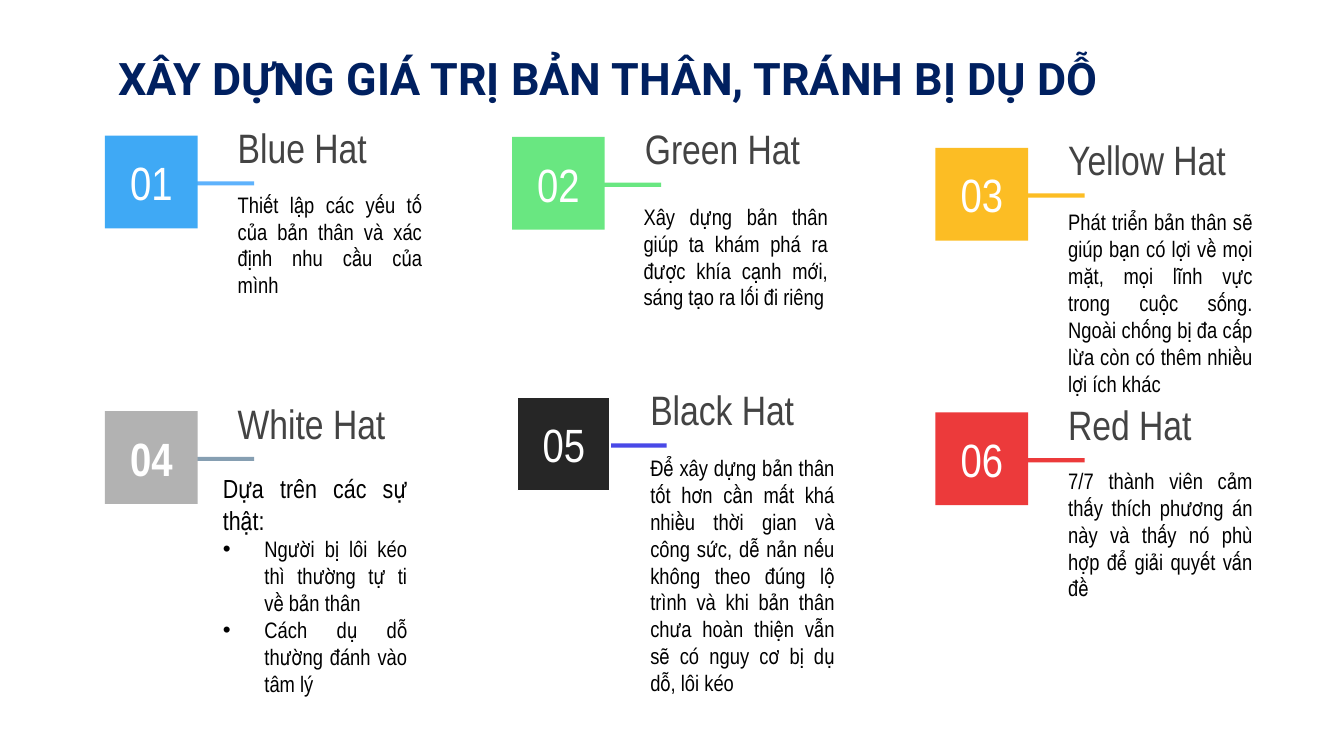
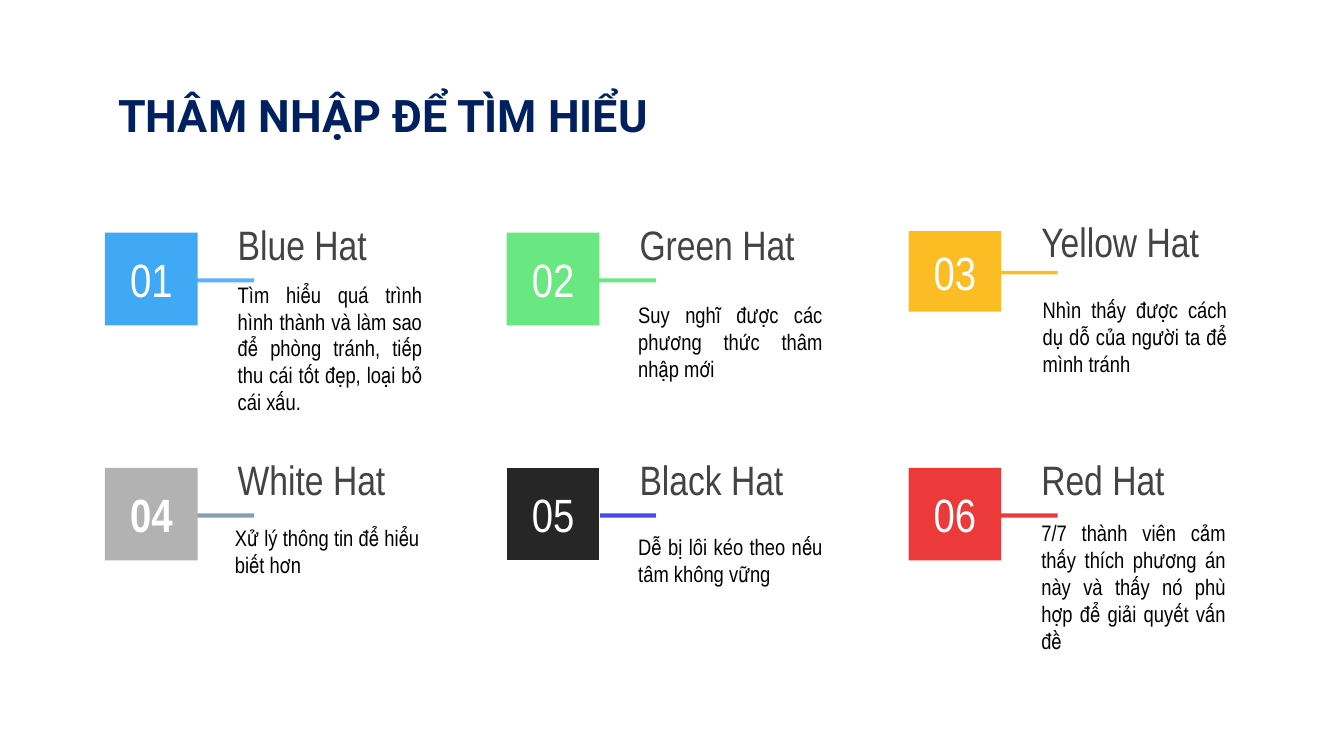
"""Build two slides that sort ideas under six numbered thinking hats."""
import pptx
import pptx.dml.color
import pptx.enum.shapes
import pptx.enum.text
import pptx.oxml.ns
import pptx.util
from lxml import etree

Pt = pptx.util.Pt
ALIGN = pptx.enum.text.PP_ALIGN

COLORS = {
    "title": "002060", "heading": "434343", "body": "000000", "white": "FFFFFF",
    "blue": "3FA9F5", "blue bar": "5EB2FC", "green": "69E781", "yellow": "FCBD24",
    "gray": "B2B2B2", "gray bar": "869FB2", "black": "262626", "black bar": "4949E7",
    "red": "EC3A3B",
}
HATS = [
    {"name": "Blue Hat", "fill": "blue", "bar": "blue bar"},
    {"name": "Green Hat", "fill": "green", "bar": "green"},
    {"name": "Yellow Hat", "fill": "yellow", "bar": "yellow"},
    {"name": "White Hat", "fill": "gray", "bar": "gray bar", "bold": True},
    {"name": "Black Hat", "fill": "black", "bar": "black bar", "line": "white"},
    {"name": "Red Hat", "fill": "red", "bar": "red"},
]
MARGIN = 56.2
SQUARE = 49.7
BODY_OFFSET = 64.1
TEXT_WIDTH = 113
COLUMN_STEP = 215.25
ROW_TOPS = (124.6, 250.6)
BULLET_INDENT = 22.3
SQUASH = 0.87

RED_HAT_TEXT = ("7/7 thành viên cảm thấy thích phương án này và thấy nó phù hợp "
                "để giải quyết vấn đề")

VALUE_CARDS = [
    {"left": MARGIN, "top": 72.7, "body_top": 111.6,
     "body": ["Thiết lập các yếu tố của bản thân và xác định nhu cầu của mình"]},
    {"left": 274.3, "top": 73.4, "body_top": 118.1, "body_offset": 63.4,
     "body": ["Xây dựng bản thân giúp ta khám phá ra được khía cạnh mới, "
              "sáng tạo ra lối đi riêng"]},
    {"left": 501.1, "top": 79.2, "body_top": 142.6,
     "body": ["Phát triển bản thân sẽ giúp bạn có lợi về mọi mặt, mọi lĩnh vực "
              "trong cuộc sống. Ngoài chống bị đa cấp lừa còn có thêm nhiều lợi ích khác"]},
    {"left": MARGIN, "top": 220.3, "body_top": 301, "body_height": 24.5,
     "body_offset": 56.1, "lead": "Dựa trên các sự thật:",
     "body": ["Người bị lôi kéo thì thường tự ti về bản thân",
              "Cách dụ dỗ thường đánh vào tâm lý"]},
    {"left": 277.2, "top": 213.1, "body_top": 288.7,
     "body": ["Để xây dựng bản thân tốt hơn cần mất khá nhiều thời gian và công sức, "
              "dễ nản nếu không theo đúng lộ trình và khi bản thân chưa hoàn thiện "
              "vẫn sẽ có nguy cơ bị dụ dỗ, lôi kéo"]},
    {"left": 501.1, "top": 221, "body_top": 283.7, "body_height": 5,
     "body": [RED_HAT_TEXT]},
]
EXPLORE_CARDS = [
    {"body_top": 169.9, "body_height": 33.1,
     "body": ["Tìm hiểu quá trình hình thành và làm sao để phòng tránh, "
              "tiếp thu cái tốt đẹp, loại bỏ cái xấu."]},
    {"body_top": 163.4, "body_offset": 63.4,
     "body": ["Suy nghĩ được các phương thức thâm nhập mới"]},
    {"top": 123.8, "body_top": 163.4, "body_height": 33.8, "body_offset": 64.8,
     "scale": SQUASH, "body": ["Nhìn thấy được cách dụ dỗ của người ta để mình tránh"]},
    {"body_top": 283, "body_height": 24.5, "body_offset": 62.6,
     "body": ["Xử lý thông tin để hiểu biết hơn"]},
    {"body_top": 280.8, "body_offset": 63.4,
     "body": ["Dễ bị lôi kéo theo nếu tâm không vững"]},
    {"body_top": 312.5, "body_height": 3.6, "body": [RED_HAT_TEXT]},
]


def add_bullet(paragraph):
    properties = paragraph._p.get_or_add_pPr()
    indent = Pt(BULLET_INDENT)
    properties.set("marL", str(indent))
    properties.set("indent", str(-indent))
    qn = pptx.oxml.ns.qn
    color = etree.SubElement(properties, qn("a:buClr"))
    etree.SubElement(color, qn("a:srgbClr"), val=COLORS["body"])
    etree.SubElement(properties, qn("a:buFont"), typeface="Arial")
    etree.SubElement(properties, qn("a:buChar"), char="•")


def write(frame, text, size=12, color="body", font="Arial Narrow", bold=False,
          align=ALIGN.LEFT, bullet=False):
    paragraph = frame.paragraphs[0]
    if paragraph.runs:
        paragraph = frame.add_paragraph()
    paragraph.alignment = align
    if bullet:
        add_bullet(paragraph)
    run = paragraph.add_run()
    run.text = text
    run.font.size = Pt(size)
    run.font.name = font
    run.font.bold = bold
    run.font.color.rgb = pptx.dml.color.RGBColor.from_string(COLORS[color])


class Deck:
    def __init__(self, width, height):
        self.presentation = pptx.Presentation()
        self.presentation.slide_width = Pt(width)
        self.presentation.slide_height = Pt(height)
        self.slide = None

    def add_slide(self, title, top):
        self.slide = self.presentation.slides.add_slide(self.presentation.slide_layouts[6])
        frame = self.text_box(self.slide.shapes, MARGIN, top, 608.4, 38.2)
        write(frame, title, size=24, color="title", font="Roboto", bold=True)

    def prepare(self, frame):
        frame.word_wrap = True
        frame.auto_size = pptx.enum.text.MSO_AUTO_SIZE.NONE
        frame.vertical_anchor = pptx.enum.text.MSO_ANCHOR.MIDDLE
        frame.margin_left = frame.margin_right = Pt(7.2)
        frame.margin_top = frame.margin_bottom = Pt(7.2)
        return frame

    def text_box(self, shapes, left, top, width, height):
        box = shapes.add_textbox(Pt(left), Pt(top), Pt(width), Pt(height))
        return self.prepare(box.text_frame)

    def rectangle(self, shapes, left, top, width, height, fill, line=None):
        shape = shapes.add_shape(pptx.enum.shapes.MSO_SHAPE.RECTANGLE,
                                 Pt(left), Pt(top), Pt(width), Pt(height))
        shape.shadow.inherit = False
        shape.fill.solid()
        shape.fill.fore_color.rgb = pptx.dml.color.RGBColor.from_string(COLORS[fill])
        if line:
            shape.line.color.rgb = pptx.dml.color.RGBColor.from_string(COLORS[line])
            shape.line.width = Pt(0.75)
        else:
            shape.line.fill.background()
        return self.prepare(shape.text_frame)

    def card(self, number, hat, left, top, body_top, body, body_height=38.9,
             body_offset=BODY_OFFSET, lead=None, scale=1):
        shapes = self.slide.shapes.add_group_shape().shapes
        self.rectangle(shapes, left + 14.4, top + 24.5 * scale, 65.5, 2.2 * scale, hat["bar"])
        square = self.rectangle(shapes, left, top, SQUARE, SQUARE * scale,
                                hat["fill"], hat.get("line"))
        write(square, f"{number:02}", size=25, color="white",
              bold=hat.get("bold", False), align=ALIGN.CENTER)
        frame = self.text_box(shapes, left + body_offset, body_top, TEXT_WIDTH, body_height)
        if lead:
            write(frame, lead, size=14, align=ALIGN.JUSTIFY)
        for text in body:
            write(frame, text, align=ALIGN.JUSTIFY, bullet=bool(lead))
        heading = self.text_box(shapes, left + BODY_OFFSET, top - 6.5 * scale,
                                TEXT_WIDTH, 25.2 * scale)
        write(heading, hat["name"], size=22, color="heading")

    def cards(self, cards):
        for index, (hat, card) in enumerate(zip(HATS, cards)):
            row, column = divmod(index, 3)
            place = {"left": MARGIN + column * COLUMN_STEP, "top": ROW_TOPS[row]}
            self.card(index + 1, hat, **{**place, **card})


def main():
    deck = Deck(720, 405)
    deck.add_slide("XÂY DỰNG GIÁ TRỊ BẢN THÂN, TRÁNH BỊ DỤ DỖ", 22.3)
    deck.cards(VALUE_CARDS)
    deck.add_slide("THÂM NHẬP ĐỂ TÌM HIỂU", 42.5)
    deck.cards(EXPLORE_CARDS)
    deck.presentation.save("out.pptx")


if __name__ == "__main__":
    main()
